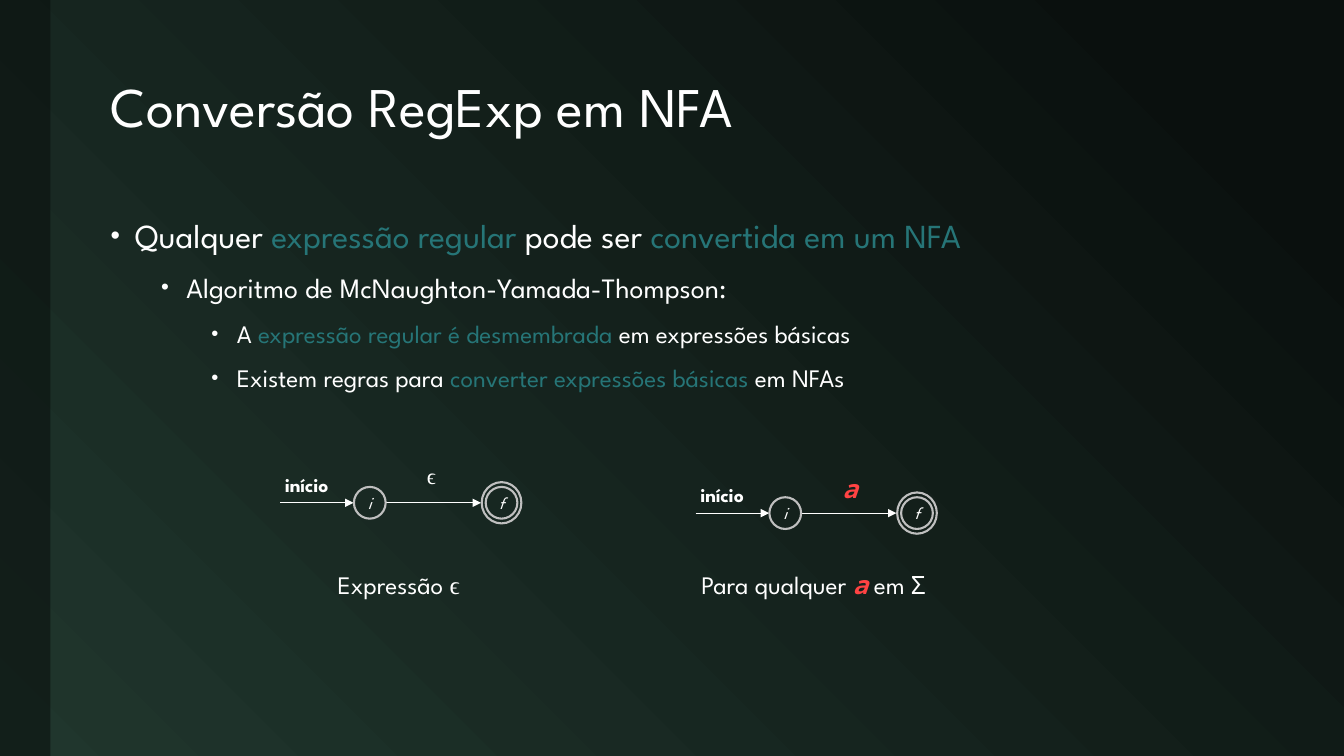
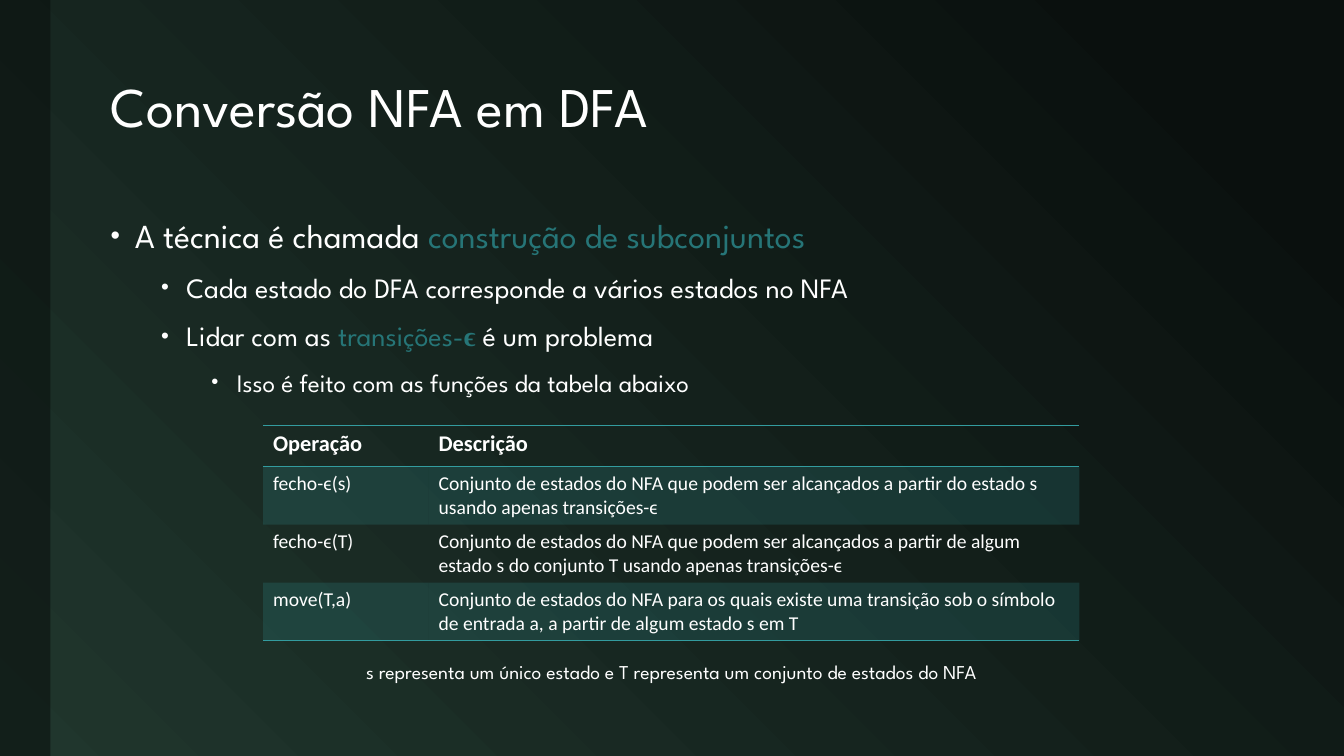
import lxml.etree
import pptx
import pptx.dml.color
import pptx.enum.shapes
import pptx.enum.text
import pptx.oxml.ns
import pptx.util

Cm, Pt, qn = pptx.util.Cm, pptx.util.Pt, pptx.oxml.ns.qn
SHAPE = pptx.enum.shapes.MSO_SHAPE
ALIGN = pptx.enum.text.PP_ALIGN
MIDDLE = pptx.enum.text.MSO_ANCHOR.MIDDLE
SubElement = lxml.etree.SubElement

DARK, GREEN, WHITE, GREY = "0A100E", "20362D", "FFFFFF", "BFBFBF"
TEAL, LIGHT_TEAL, RED = "267577", "339C9F", "FF4343"
SPARTAN, CALIBRI, TIMES, MONO = "League Spartan", "Calibri", "Times New Roman", "Noto Sans Mono"


def rgb(color):
    return pptx.dml.color.RGBColor.from_string(color)


def write(p, text, size=18, color=WHITE, font=SPARTAN, bold=False, italic=False):
    """Append one formatted run to paragraph p."""
    r = p.add_run()
    r.text = text
    r.font.size, r.font.name = Pt(size), font
    r.font.color.rgb = rgb(color)
    r.font.bold, r.font.italic = bold, italic


prs = pptx.Presentation()
prs.slide_width, prs.slide_height = Cm(33.87), Cm(19.05)
master = prs.slide_master
fill = master.background.fill
fill.gradient()
fill.gradient_angle = 225
for stop, position, color in zip(fill.gradient_stops, (0.1, 1), (DARK, GREEN)):
    stop.position = position
    stop.color.rgb = rgb(color)

# Titles and bullets: each bullet is (level, runs)
teal = {"color": TEAL}
contents = [
    ("Conversão RegExp em NFA", [
        (0, [("Qualquer ", {}), ("expressão regular", teal), (" pode ser ", {}),
             ("convertida em um NFA", teal)]),
        (1, [("Algoritmo de McNaughton-Yamada-Thompson:", {})]),
        (2, [("A ", {}), ("expressão regular é desmembrada ", teal),
             ("em expressões básicas", {})]),
        (2, [("Existem regras para ", {}), ("converter expressões básicas", teal),
             (" em NFAs", {})]),
    ]),
    ("Conversão NFA em DFA", [
        (0, [("A técnica é chamada ", {}), ("construção de subconjuntos", teal)]),
        (1, [("Cada estado do DFA corresponde a vários estados no NFA", {})]),
        (1, [("Lidar com as ", {}), ("transições-", teal),
             ("ϵ ", {"color": TEAL, "font": TIMES, "bold": True}),
             ("é um problema", {})]),
        (2, [("Isso é feito com as funções da tabela abaixo", {})]),
    ]),
]
# Per level: text size, space before, left margin, hanging indent
levels = [(24, 18, 0.61, 0.61), (20, 6, 1.91, 0.64), (18, 6, 3.18, 0.64)]

for title, bullets in contents:
    s = prs.slides.add_slide(prs.slide_layouts[5])
    sp = s.shapes.title
    sp.left, sp.top, sp.width, sp.height = Cm(2.54), Cm(1.07), Cm(29.59), Cm(3.38)
    tf = sp.text_frame
    tf.vertical_anchor = MIDDLE
    tf.auto_size = pptx.enum.text.MSO_AUTO_SIZE.NONE
    p = tf.paragraphs[0]
    p.alignment, p.line_spacing = ALIGN.LEFT, 0.9
    write(p, title, size=40)

    tf = s.shapes.add_textbox(Cm(2.54), Cm(5.08), Cm(29.59), Cm(12.27)).text_frame
    tf.word_wrap = True
    for i, (level, runs) in enumerate(bullets):
        p = tf.add_paragraph() if i else tf.paragraphs[0]
        size, before, margin, hanging = levels[level]
        p.level, p.line_spacing, p.space_before = level, 1.2, Pt(before)
        pPr = p._p.get_or_add_pPr()
        pPr.set("marL", str(Cm(margin)))
        pPr.set("indent", str(-Cm(hanging)))
        SubElement(pPr, qn("a:buSzPct"), val="80000")
        SubElement(pPr, qn("a:buFont"), typeface="Arial")
        SubElement(pPr, qn("a:buChar"), char="•")
        for text, style in runs:
            write(p, text, size=size, **style)

regexp_slide, subset_slide = prs.slides

# Side band, moved to the master so that every slide shows it
band = regexp_slide.shapes.add_shape(SHAPE.RECTANGLE, 0, 0, Cm(1.27), prs.slide_height)
band.shadow.inherit = False
band.fill.solid()
band.fill.fore_color.rgb = rgb(DARK)
band.line.fill.background()
color = band.element.spPr.xpath("./a:solidFill/a:srgbClr")[0]
SubElement(color, qn("a:alpha"), val="60000")
band.element.nvSpPr.cNvPr.set("id", "20")
master.shapes.element.insert(2, band.element)

# Two automata, each placed by the start of its first arrow
epsilon = {"font": TIMES}
letter = {"font": MONO, "color": RED, "bold": True, "italic": True}
automata = [
    (7.06, 12.67, ("ϵ", {"size": 16, **epsilon})),
    (17.53, 12.93, ("a", letter)),
]
labels = [
    (8.03, 14.22, 4.04, ALIGN.CENTER, [("Expressão ", {}), ("ϵ", epsilon)]),
    (16.74, 14.22, 7.52, ALIGN.CENTER,
     [("Para qualquer ", {}), ("a", letter), (" em Σ", {})]),
]
shapes = regexp_slide.shapes
for x, y, symbol in automata:
    for start, end in ((0, 1.85), (2.66, 5.06)):
        arrow = shapes.add_connector(pptx.enum.shapes.MSO_CONNECTOR.STRAIGHT,
                                     Cm(x + start), Cm(y), Cm(x + end), Cm(y))
        arrow.line.color.rgb = rgb(WHITE)
        arrow.line.width = Pt(0.5)
        spPr = arrow.element.spPr
        SubElement(spPr.find(qn("a:ln")), qn("a:tailEnd"), type="triangle")
        SubElement(spPr, qn("a:effectLst"))
    for left, width, height, name in ((1.86, 0.8, 0.8, "i"), (5.08, 1, 1.04, ""),
                                      (5.18, 0.8, 0.8, "f")):
        state = shapes.add_shape(SHAPE.OVAL, Cm(x + left), Cm(y - height / 2),
                                 Cm(width), Cm(height))
        state.shadow.inherit = False
        state.fill.background()
        state.line.color.rgb = rgb(GREY)
        state.line.width = Pt(1.5)
        if name:
            tf = state.text_frame
            tf.margin_left = tf.margin_right = tf.margin_top = tf.margin_bottom = 0
            tf.vertical_anchor = MIDDLE
            tf.paragraphs[0].alignment = ALIGN.CENTER
            write(tf.paragraphs[0], name, size=12, italic=True)
    labels += [
        (x - 0.13, y - 0.89, 1.8, ALIGN.LEFT, [("início", {"size": 14, "bold": True})]),
        (x + 3.45, y - 1.14, 0.85, ALIGN.LEFT, [symbol]),
    ]

for left, top, width, align, runs in labels:
    tf = shapes.add_textbox(Cm(left), Cm(top), Cm(width), Cm(1)).text_frame
    tf.word_wrap = False
    tf.paragraphs[0].alignment = align
    for text, style in runs:
        write(tf.paragraphs[0], text, **style)

# Table of operations
rows = [
    ("Operação", "Descrição"),
    ("fecho-ϵ(s)", "Conjunto de estados do NFA que podem ser alcançados a partir "
                   "do estado s usando apenas transições-ϵ"),
    ("fecho-ϵ(T)", "Conjunto de estados do NFA que podem ser alcançados a partir "
                   "de algum estado s do conjunto T usando apenas transições-ϵ"),
    ("move(T,a)", "Conjunto de estados do NFA para os quais existe uma transição sob "
                  "o símbolo de entrada a, a partir de algum estado s em T"),
]
ruled = {0, 1, len(rows)}  # row boundaries that carry a line
table = subset_slide.shapes.add_table(len(rows), 2, Cm(6.63), Cm(10.72),
                                      Cm(20.57), Cm(5.42)).table
table.horz_banding = False
table.columns[0].width, table.columns[1].width = Cm(4.17), Cm(16.4)
for i, texts in enumerate(rows):
    header = i == 0
    table.rows[i].height = Cm(1.04 if header else 1.46)
    for j, text in enumerate(texts):
        cell = table.cell(i, j)
        write(cell.text_frame.paragraphs[0], text, size=16 if header else 14,
              font=CALIBRI, bold=header)
        tcPr = cell._tc.get_or_add_tcPr()
        for side, has_line in (("L", False), ("R", False),
                               ("T", i in ruled), ("B", i + 1 in ruled)):
            ln = SubElement(tcPr, qn("a:ln" + side), w=str(Pt(1)))
            if has_line:
                SubElement(SubElement(ln, qn("a:solidFill")), qn("a:srgbClr"), val=LIGHT_TEAL)
            else:
                SubElement(ln, qn("a:noFill"))
        if i % 2:
            cell.fill.solid()
            cell.fill.fore_color.rgb = rgb(LIGHT_TEAL)
            color = tcPr.xpath("./a:solidFill/a:srgbClr")[0]
            SubElement(color, qn("a:alpha"), val="20000")
        else:
            cell.fill.background()

tf = subset_slide.shapes.add_textbox(Cm(7.24), Cm(16.51), Cm(19.38), Cm(0.86)).text_frame
tf.word_wrap = True
tf.paragraphs[0].alignment = ALIGN.CENTER
write(tf.paragraphs[0],
      "s representa um único estado e T representa um conjunto de estados do NFA", size=14)

prs.save("out.pptx")
